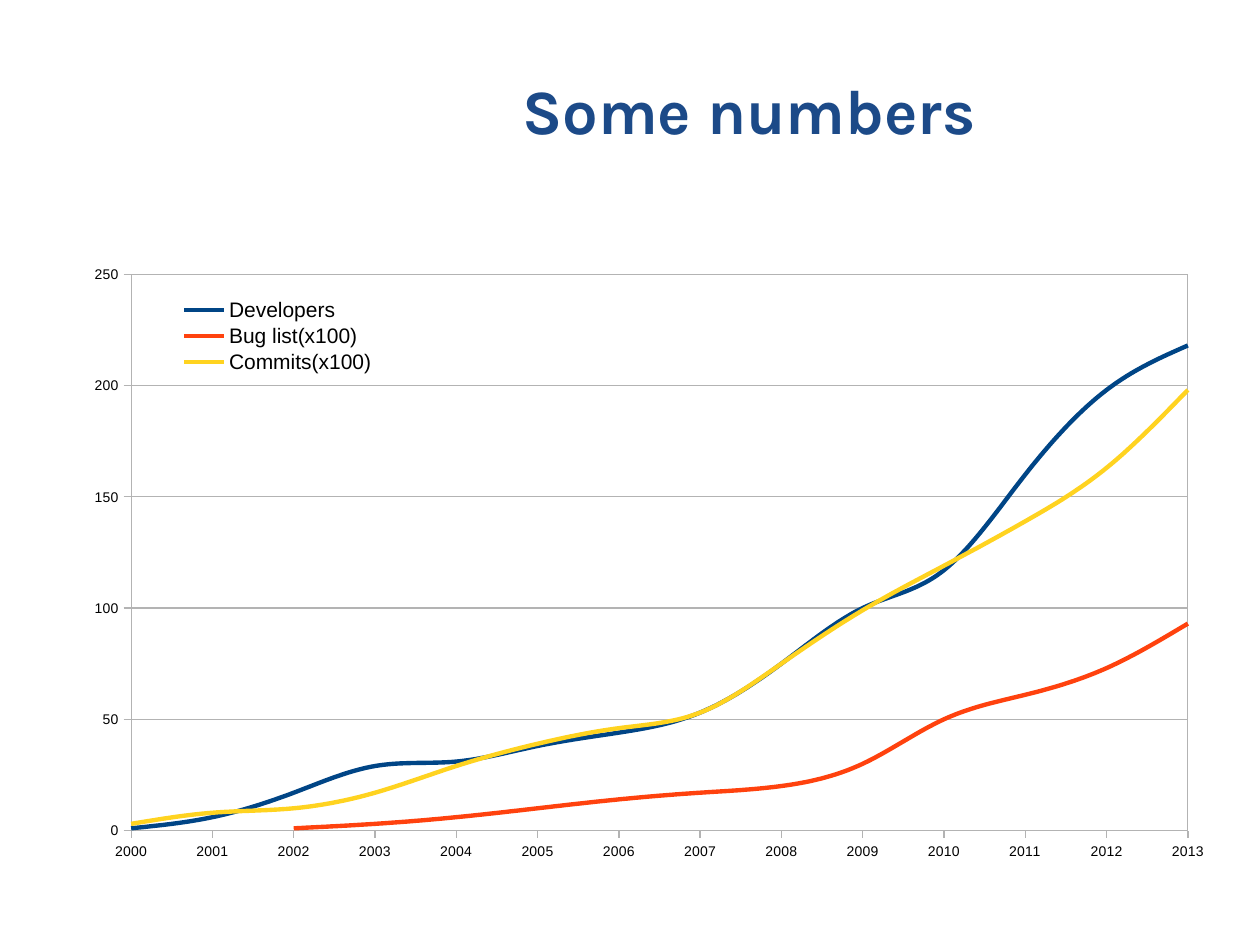
from lxml import etree
from pptx import Presentation
from pptx import util as u
from pptx.chart.data import CategoryChartData
from pptx.dml.color import RGBColor
from pptx.enum import chart as ch, text
from pptx.oxml import parse_xml
from pptx.oxml.ns import qn

Pt = u.Pt
COLORS = {"title": "1C4A88", "text": "000000", "grid": "B3B3B3",
          "Developers": "004586", "Bug list(x100)": "FF420E", "Commits(x100)": "FFD320"}
SERIES = {
    "Developers": [1, 6, 17, 29, 31, 38, 44, 53, 75, 100, 117, 160, 198, 218],
    "Bug list(x100)": [None, None, 1, 3, 6, 10, 14, 17, 20, 30, 50, 61, 73, 93],
    "Commits(x100)": [3, 8, 10, 17, 29, 39, 46, 53, 75, 99, 119, 139, 163, 198],
}


def set_font(font, name, size, color):
    font.name, font.size = name, Pt(size)
    font.color.rgb = RGBColor.from_string(COLORS[color])


def make_layout(x, y, w, h, inner=False):
    layout = etree.Element(qn("c:layout"))
    manual = etree.SubElement(layout, qn("c:manualLayout"))
    values = [("layoutTarget", "inner")] if inner else []
    values += [("xMode", "edge"), ("yMode", "edge"), ("x", x), ("y", y), ("w", w), ("h", h)]
    for tag, value in values:
        etree.SubElement(manual, qn("c:" + tag)).set("val", str(value))
    return layout


prs = Presentation()
prs.slide_width, prs.slide_height = Pt(720), Pt(540)
s = prs.slides.add_slide(prs.slide_layouts[6])

title = s.shapes.add_textbox(Pt(153), Pt(0), Pt(550), Pt(124.5))
tf = title.text_frame
tf.word_wrap = True
tf.vertical_anchor = text.MSO_ANCHOR.MIDDLE
tf.margin_left = tf.margin_right = tf.margin_top = tf.margin_bottom = 0
p = tf.paragraphs[0]
p.text = "Some numbers"
p.alignment = text.PP_ALIGN.CENTER
p.font.bold = True
set_font(p.font, "Karla", 36, "title")

data = CategoryChartData()
data.categories = [str(year) for year in range(2000, 2014)]
for name, values in SERIES.items():
    data.add_series(name, values)
chart = s.shapes.add_chart(ch.XL_CHART_TYPE.LINE, Pt(28), Pt(117.5), Pt(671), Pt(392.5), data).chart
chart.has_title = False
set_font(chart.font, "Arial", 10, "text")

chart.has_legend = True
legend = chart.legend
legend.position = ch.XL_LEGEND_POSITION.RIGHT
legend.include_in_layout = True
set_font(legend.font, "Arial", 12, "text")
legend_xml = chart.element.find(".//" + qn("c:legend"))
for old in legend_xml.findall(qn("c:layout")):
    legend_xml.remove(old)
legend_xml.find(qn("c:legendPos")).addnext(make_layout(0.11, 0.13, 0.17, 0.12))

category, value = chart.category_axis, chart.value_axis
value.minimum_scale, value.maximum_scale, value.major_unit = 0, 250, 50
value.has_major_gridlines = True
for axis in (category, value):
    set_font(axis.tick_labels.font, "Arial", 8, "text")
    axis.major_tick_mark = ch.XL_TICK_MARK.OUTSIDE
    axis.minor_tick_mark = ch.XL_TICK_MARK.NONE
for line in (category.format.line, value.format.line, value.major_gridlines.format.line):
    line.color.rgb = RGBColor.from_string(COLORS["grid"])
    line.width = Pt(0)
value_xml = chart.element.find(".//" + qn("c:valAx"))
between = value_xml.find(qn("c:crossBetween"))
if between is None:
    between = etree.Element(qn("c:crossBetween"))
    value_xml.find(qn("c:majorUnit")).addprevious(between)
between.set("val", "midCat")

plot_area = chart.element.find(".//" + qn("c:plotArea"))
for old in plot_area.findall(qn("c:layout")):
    plot_area.remove(old)
plot_area.insert(0, make_layout(0.07, 0.1, 0.9, 0.81, inner=True))
plot_area.append(parse_xml(
    '<c:spPr xmlns:c="http://schemas.openxmlformats.org/drawingml/2006/chart" '
    'xmlns:a="http://schemas.openxmlformats.org/drawingml/2006/main"><a:noFill/>'
    f'<a:ln w="0"><a:solidFill><a:srgbClr val="{COLORS["grid"]}"/></a:solidFill></a:ln></c:spPr>'))

chart.plots[0].vary_by_categories = False
for series in chart.plots[0].series:
    series.smooth = True
    series.marker.style = ch.XL_MARKER_STYLE.NONE
    series.format.line.color.rgb = RGBColor.from_string(COLORS[series.name])
    series.format.line.width = Pt(2.5)

prs.save("out.pptx")
